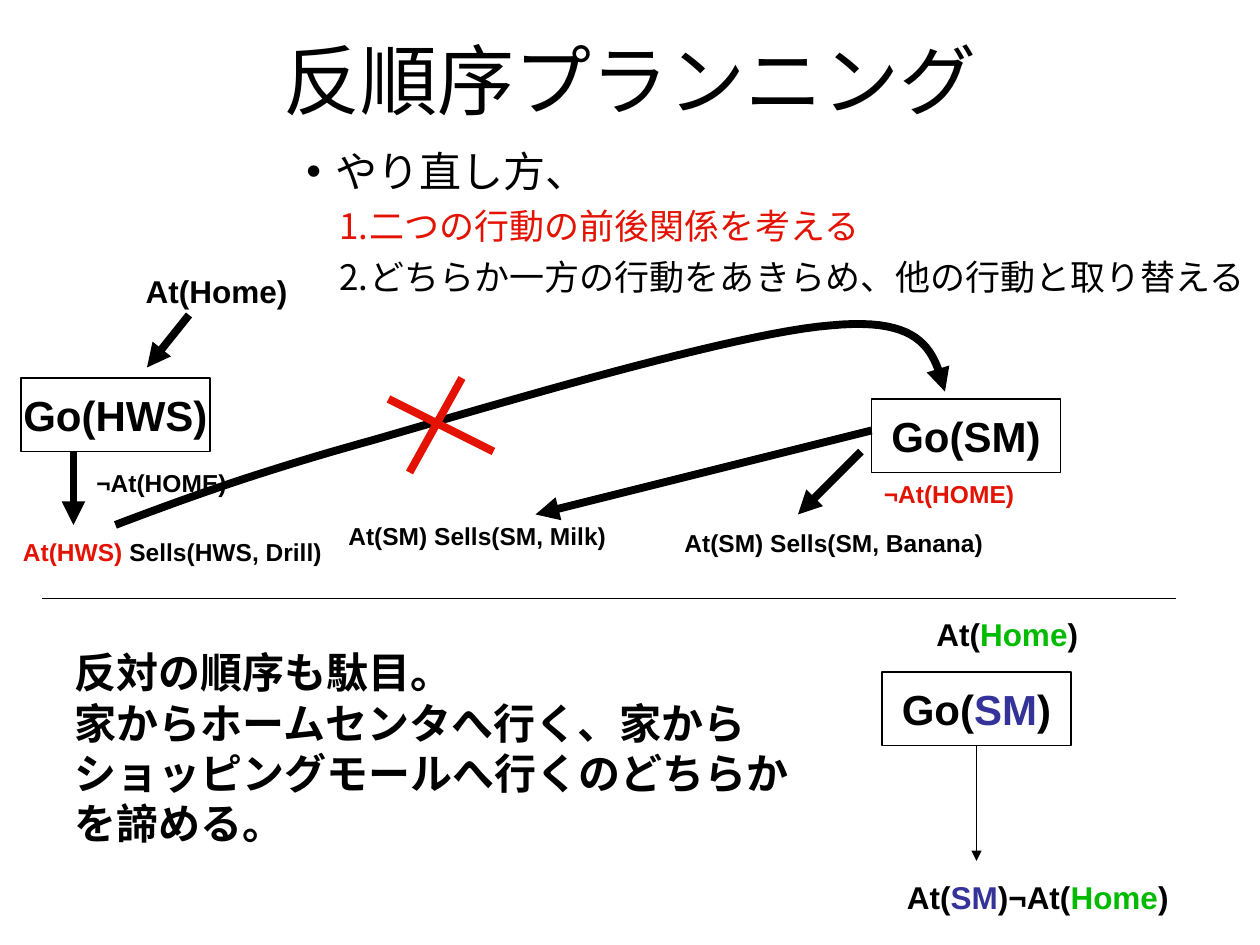
from typing import NamedTuple

from lxml.etree import SubElement
from pptx import Presentation
from pptx.dml.color import RGBColor
from pptx.enum.shapes import MSO_CONNECTOR, MSO_SHAPE
from pptx.enum.text import MSO_ANCHOR, MSO_AUTO_SIZE, PP_ALIGN
from pptx.oxml.ns import qn
from pptx.util import Inches, Pt

COLORS = {"black": "000000", "white": "FFFFFF", "red": "E31202",
          "blue": "333399", "green": "00BB00"}
COLS, ROWS = 120, 90  # grid cells across and down the slide
THICK, THIN = 4.5, 0.75

prs = Presentation()
prs.slide_width, prs.slide_height = Inches(10), Inches(7.5)
slide = prs.slides.add_slide(prs.slide_layouts[6])
shapes = slide.shapes


class Run(NamedTuple):
    text: str
    color: str = "black"


class Label(NamedTuple):
    col: float
    row: float
    width: float
    height: float
    size: float
    lines: list[list[Run]]


class Action(NamedTuple):
    col: float
    row: float
    runs: list[Run]


class Line(NamedTuple):
    start: tuple[float, float]
    end: tuple[float, float]
    color: str = "black"
    weight: float = THICK
    arrow: bool = True


class Item(NamedTuple):
    run: Run
    size: float
    margin: float
    hanging: float
    before: float
    number: int = 0  # 0 gives a dot


def x(col: float) -> int:
    return round(prs.slide_width * col / COLS)


def y(row: float) -> int:
    return round(prs.slide_height * row / ROWS)


def rgb(name: str) -> RGBColor:
    return RGBColor.from_string(COLORS[name])


def write(p, runs: list[Run], *, size: float, bold: bool = False, align=PP_ALIGN.LEFT) -> None:
    p.alignment = align
    for text, color in runs:
        r = p.add_run()
        r.text = text
        r.font.name, r.font.size, r.font.bold = "Arial", Pt(size), bold
        r.font.color.rgb = rgb(color)


def text_box(col, row, width, height, lines, *, size, bold=True, wrap=False,
             align=PP_ALIGN.LEFT, anchor=MSO_ANCHOR.TOP, grow=True):
    tf = shapes.add_textbox(x(col), y(row), x(width), y(height)).text_frame
    tf.word_wrap, tf.vertical_anchor = wrap, anchor
    tf.auto_size = MSO_AUTO_SIZE.SHAPE_TO_FIT_TEXT if grow else MSO_AUTO_SIZE.NONE
    for i, runs in enumerate(lines):
        p = tf.add_paragraph() if i else tf.paragraphs[0]
        write(p, runs, size=size, bold=bold, align=align)
    return tf


def action_box(a: Action) -> None:
    sp = shapes.add_shape(MSO_SHAPE.RECTANGLE, x(a.col), y(a.row), x(18), y(7))
    sp.shadow.inherit = False
    sp.fill.solid()
    sp.fill.fore_color.rgb = rgb("white")
    sp.line.color.rgb, sp.line.width = rgb("black"), Pt(THIN)
    tf = sp.text_frame
    tf.word_wrap, tf.vertical_anchor = False, MSO_ANCHOR.MIDDLE
    write(tf.paragraphs[0], a.runs, size=24, bold=True, align=PP_ALIGN.CENTER)


def style_line(sp, color: str, weight: float, arrow: bool) -> None:
    sp.line.color.rgb, sp.line.width = rgb(color), Pt(weight)
    if arrow:
        SubElement(sp.line._get_or_add_ln(), qn("a:tailEnd"), type="triangle")


def draw_line(ln: Line) -> None:
    cn = shapes.add_connector(MSO_CONNECTOR.STRAIGHT, x(ln.start[0]), y(ln.start[1]),
                              x(ln.end[0]), y(ln.end[1]))
    style_line(cn, ln.color, ln.weight, ln.arrow)
    SubElement(cn._element.spPr, qn("a:effectLst"))


def bezier(points, steps: int = 24) -> list[tuple[int, int]]:
    """Points along a chain of cubic curves, given in grid cells."""
    curve = []
    for i in range(0, len(points) - 1, 3):
        for k in range(steps + 1):
            t = k / steps
            weights = ((1 - t) ** 3, 3 * t * (1 - t) ** 2, 3 * t * t * (1 - t), t ** 3)
            near = list(zip(weights, points[i:i + 4]))
            curve.append((x(sum(w * q[0] for w, q in near)), y(sum(w * q[1] for w, q in near))))
    return curve


def draw_curve(points) -> None:
    first, *rest = bezier(points)
    fb = shapes.build_freeform(*first, scale=1.0)
    fb.add_line_segments(rest, close=False)
    sp = fb.convert_to_shape()
    sp.shadow.inherit = False
    sp.fill.background()
    style_line(sp, "black", THICK, True)


def list_item(p, item: Item) -> None:
    pPr = p._p.get_or_add_pPr()
    pPr.set("marL", str(Inches(item.margin)))
    pPr.set("indent", str(-Inches(item.hanging)))
    p.space_before = Pt(item.before)
    SubElement(SubElement(pPr, qn("a:buClr")), qn("a:srgbClr"), val=COLORS[item.run.color])
    SubElement(pPr, qn("a:buFont"), typeface="Arial")
    if item.number:
        SubElement(pPr, qn("a:buAutoNum"), type="arabicPeriod", startAt=str(item.number))
    else:
        SubElement(pPr, qn("a:buChar"), char="•")
    write(p, [item.run], size=item.size)


# Title
text_box(9, 0, 102, 15, [[Run("反順序プランニング")]], size=44, bold=False, wrap=True,
         align=PP_ALIGN.CENTER, anchor=MSO_ANCHOR.MIDDLE, grow=False)

# Conditions and explanation, each box a little wider than its text
SM, HOME = Run("SM", "blue"), Run("Home", "green")
OPEN, CLOSE = Run("At("), Run(")")
for label in (
    Label(12.7, 25.3, 16.3, 4.8, 18, [[Run("At(Home)")]]),
    Label(1, 50.6, 31.3, 4.1, 14, [[Run("At(HWS)", "red"), Run(" Sells(HWS, Drill)")]]),
    Label(32, 49, 27.5, 4.1, 14, [[Run("At(SM) Sells(SM, Milk)")]]),
    Label(64, 49.7, 31.3, 4.1, 14, [[Run("At(SM) Sells(SM, Banana)")]]),
    Label(8, 44, 15.2, 4.1, 14, [[Run("¬At(HOME)")]]),
    Label(83, 45, 15.2, 4.1, 14, [[Run("¬At(HOME)", "red")]]),
    Label(5.9, 61, 71, 30, 24, [[Run(s)] for s in (
        "反対の順序も駄目。", "家からホームセンタへ行く、家から",
        "ショッピングモールへ行くのどちらか", "を諦める。")]),
    Label(88, 58, 16.3, 4.8, 18, [[OPEN, HOME, CLOSE]]),
    Label(85.2, 83, 27.8, 4.8, 18, [[OPEN, SM, Run(")¬At("), HOME, CLOSE]]),
):
    text_box(label.col, label.row, label.width, label.height, label.lines, size=label.size)

# Actions
for action in (Action(2, 36, [Run("Go(HWS)")]), Action(83, 38, [Run("Go(SM)")]),
               Action(84, 64, [Run("Go("), SM, CLOSE])):
    action_box(action)

# Ways to redo the plan
items = (Item(Run("やり直し方、"), 24, 0.23, 0.23, 0),
         Item(Run("二つの行動の前後関係を考える", "red"), 20, 0.5, 0.24, 5, 1),
         Item(Run("どちらか一方の行動をあきらめ、他の行動と取り替える"), 20, 0.5, 0.24, 5, 2))
tf = text_box(28, 13.3, 95.2, 19.7, [], size=24, wrap=True)
for i, item in enumerate(items):
    list_item(tf.add_paragraph() if i else tf.paragraphs[0], item)

# Ordering links, the red cross and the divider
draw_curve([(11, 50), (17.6, 47.5), (24.4, 45), (35.6, 41.9), (47, 38.6), (70, 31.7),
            (79.1, 31), (88.2, 30.1), (89, 33.7), (90, 37.3)])
for line in (
    Line((18, 30), (14, 35)),
    Line((7, 43), (7, 50)),
    Line((83, 41), (51, 49)),
    Line((82, 43), (76, 49)),
    Line((37, 38), (47, 43), "red", arrow=False),
    Line((44, 36), (39, 45), "red", arrow=False),
    Line((93, 71), (93, 82), weight=THIN),
    Line((4, 57), (112, 57), weight=THIN, arrow=False),
):
    draw_line(line)

prs.save("out.pptx")
